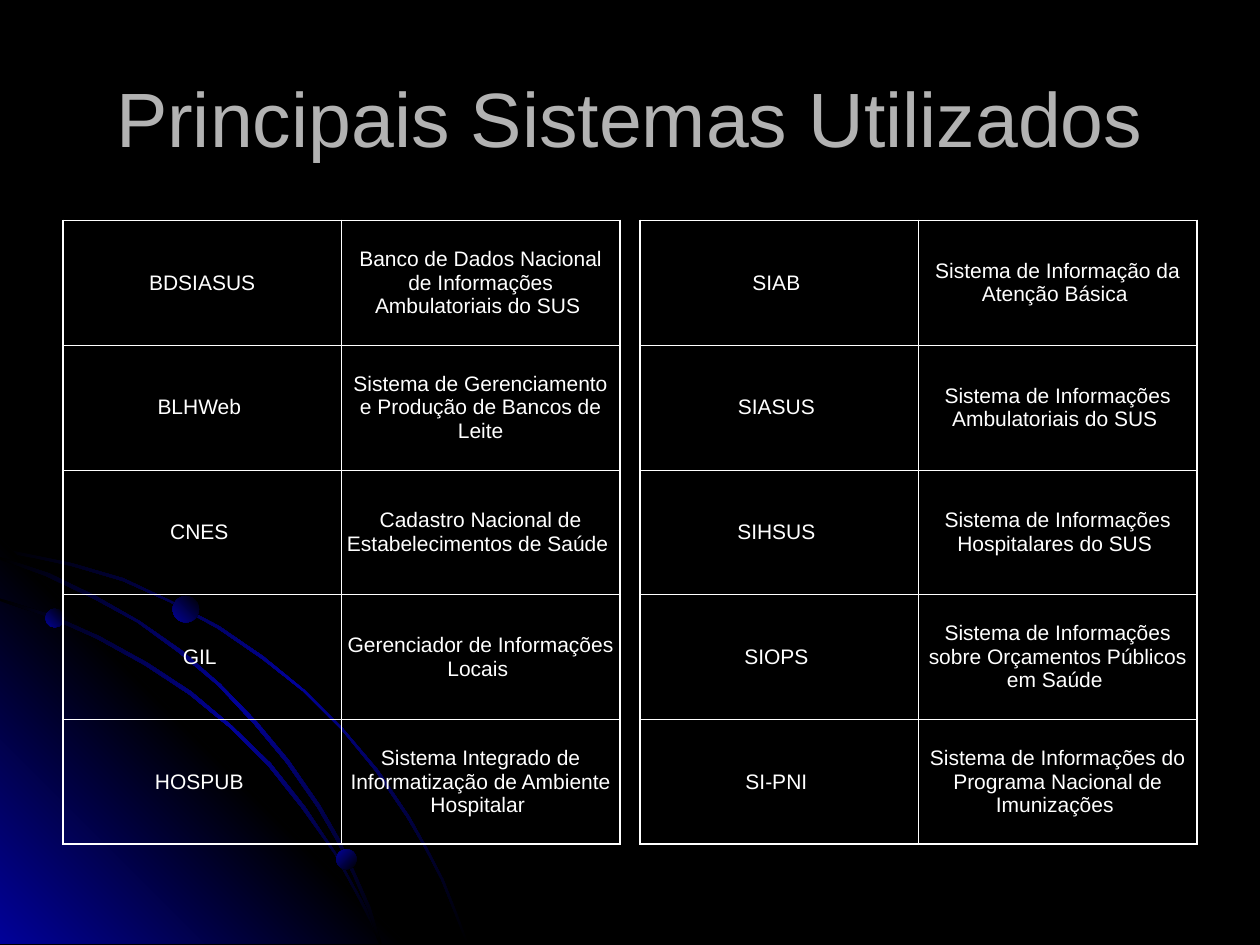
from lxml import etree
from pptx import Presentation, util as u
from pptx.dml.color import RGBColor
from pptx.enum import shapes, text
from pptx.oxml import ns

BLACK, BLUE, WHITE, GREY = "000000", "010199", "FFFFFF", "B2B2B2"


def color(code):
    return RGBColor.from_string(code)


def paint(shape, colors, angle):
    shape.shadow.inherit = False
    shape.line.fill.background()
    shape.fill.gradient()
    gradient = shape._element.spPr.find(ns.qn("a:gradFill"))
    for child in list(gradient):
        gradient.remove(child)
    stops = etree.SubElement(gradient, ns.qn("a:gsLst"))
    for index, code in enumerate(colors):
        position = 100000 * index // (len(colors) - 1)
        stop = etree.SubElement(stops, ns.qn("a:gs"), pos=str(position))
        etree.SubElement(stop, ns.qn("a:srgbClr"), val=code)
    etree.SubElement(gradient, ns.qn("a:lin"), ang=str(angle * 60000), scaled="0")


deck = Presentation()
deck.slide_width, deck.slide_height = u.Inches(10), u.Inches(7.5)
page = deck.slides.add_slide(deck.slide_layouts[5])
page.background.fill.solid()
page.background.fill.fore_color.rgb = color(BLACK)

arc = [BLACK, BLUE, BLACK]
glow = [BLUE, BLACK, BLUE]
outer_arc = [
    (57, 447), (28, 441), (0, 435), (0, 438), (28, 443), (56, 449), (97, 461), (135, 478),
    (173, 499), (208, 523), (241, 549), (271, 579), (298, 612), (323, 649), (337, 673),
    (350, 698), (360, 723), (370, 749), (372, 749), (362, 723), (352, 698), (339, 673),
    (325, 648), (300, 611), (272, 578), (242, 548), (209, 521), (174, 497), (136, 477),
    (98, 459)]
corner = [(322, 749), (0, 749), (0, 427)]
inner_arc = [
    (285, 714), (294, 732), (301, 749), (303, 749), (296, 730), (286, 712), (266, 676),
    (242, 640), (215, 606), (184, 576), (152, 549), (117, 526), (79, 505), (41, 488),
    (0, 475), (0, 477), (39, 490), (77, 507), (115, 528), (150, 551), (183, 578),
    (213, 608), (240, 642), (265, 677)]
middle_arc = [
    (0, 442), (0, 444), (36, 457), (74, 475), (109, 494), (142, 518), (173, 544), (202, 575),
    (227, 605), (252, 641), (267, 667), (280, 694), (292, 722), (301, 749), (303, 749),
    (294, 720), (282, 693), (269, 665), (254, 639), (229, 603), (204, 573), (175, 543),
    (144, 516), (111, 493), (76, 473), (39, 455)]
outlines = [(outer_arc, arc, 225), (corner, glow, 135),
            (inner_arc, arc, 225), (middle_arc, arc, 225)]
for points, colors, angle in outlines:
    builder = page.shapes.build_freeform(*points[0], scale=u.Inches(0.01))
    builder.add_line_segments(points[1:], close=True)
    paint(builder.convert_to_shape(), colors, angle)

for left, top, size, angle in [(0.36, 4.83, 0.15, 135), (2.67, 6.74, 0.16, 225),
                               (1.37, 4.73, 0.21, 135)]:
    dot = page.shapes.add_shape(shapes.MSO_SHAPE.OVAL, u.Inches(left), u.Inches(top),
                                u.Inches(size), u.Inches(size))
    paint(dot, [BLACK, BLUE], angle)

title = page.shapes.title
title.left, title.top = u.Inches(0.5), u.Inches(0.3)
title.width, title.height = u.Inches(9), u.Inches(1.25)
title.text_frame.text = "Principais Sistemas Utilizados"
title.text_frame.vertical_anchor = text.MSO_ANCHOR.MIDDLE
para = title.text_frame.paragraphs[0]
para.alignment = text.PP_ALIGN.CENTER
font = para.runs[0].font
font.name, font.size, font.color.rgb = "Arial", u.Pt(44), color(GREY)

left_systems = [
    ("BDSIASUS", "Banco de Dados Nacional de Informações Ambulatoriais do SUS "),
    ("BLHWeb ", "Sistema de Gerenciamento e Produção de Bancos de Leite"),
    ("CNES ", "Cadastro Nacional de Estabelecimentos de Saúde "),
    ("GIL ", "Gerenciador de Informações Locais "),
    ("HOSPUB ", "Sistema Integrado de Informatização de Ambiente Hospitalar ")]
right_systems = [
    ("SIAB ", "Sistema de Informação da Atenção Básica "),
    ("SIASUS ", "Sistema de Informações Ambulatoriais do SUS "),
    ("SIHSUS ", "Sistema de Informações Hospitalares do SUS "),
    ("SIOPS ", "Sistema de Informações sobre Orçamentos Públicos em Saúde "),
    ("SI-PNI ", "Sistema de Informações do Programa Nacional de Imunizações ")]
for left, systems in [(0.5, left_systems), (5.08, right_systems)]:
    last = len(systems) - 1
    table = page.shapes.add_table(len(systems), 2, u.Inches(left), u.Inches(1.75),
                                  u.Inches(4.42), u.Inches(4.95)).table
    table.first_row = table.horz_banding = False
    for row, system in enumerate(systems):
        for column, words in enumerate(system):
            cell = table.cell(row, column)
            cell.text_frame.text = words
            cell.vertical_anchor = text.MSO_ANCHOR.MIDDLE
            cell.margin_left = cell.margin_right = u.Inches(0.04)
            cell.margin_top = cell.margin_bottom = u.Inches(0.05)
            para = cell.text_frame.paragraphs[0]
            para.alignment = text.PP_ALIGN.CENTER
            font = para.runs[0].font
            font.name, font.size, font.color.rgb = "Arial", u.Pt(12), color(WHITE)
            borders = {"L": column == 0, "R": column == 1, "T": row == 0, "B": row == last}
            for side, is_outer in borders.items():
                width = u.Pt(1.08 if is_outer else 0.45)
                border = etree.SubElement(cell._tc.get_or_add_tcPr(), ns.qn("a:ln" + side),
                                          w=str(width))
                solid = etree.SubElement(border, ns.qn("a:solidFill"))
                etree.SubElement(solid, ns.qn("a:srgbClr"), val=WHITE)
            cell.fill.background()

deck.save("out.pptx")
